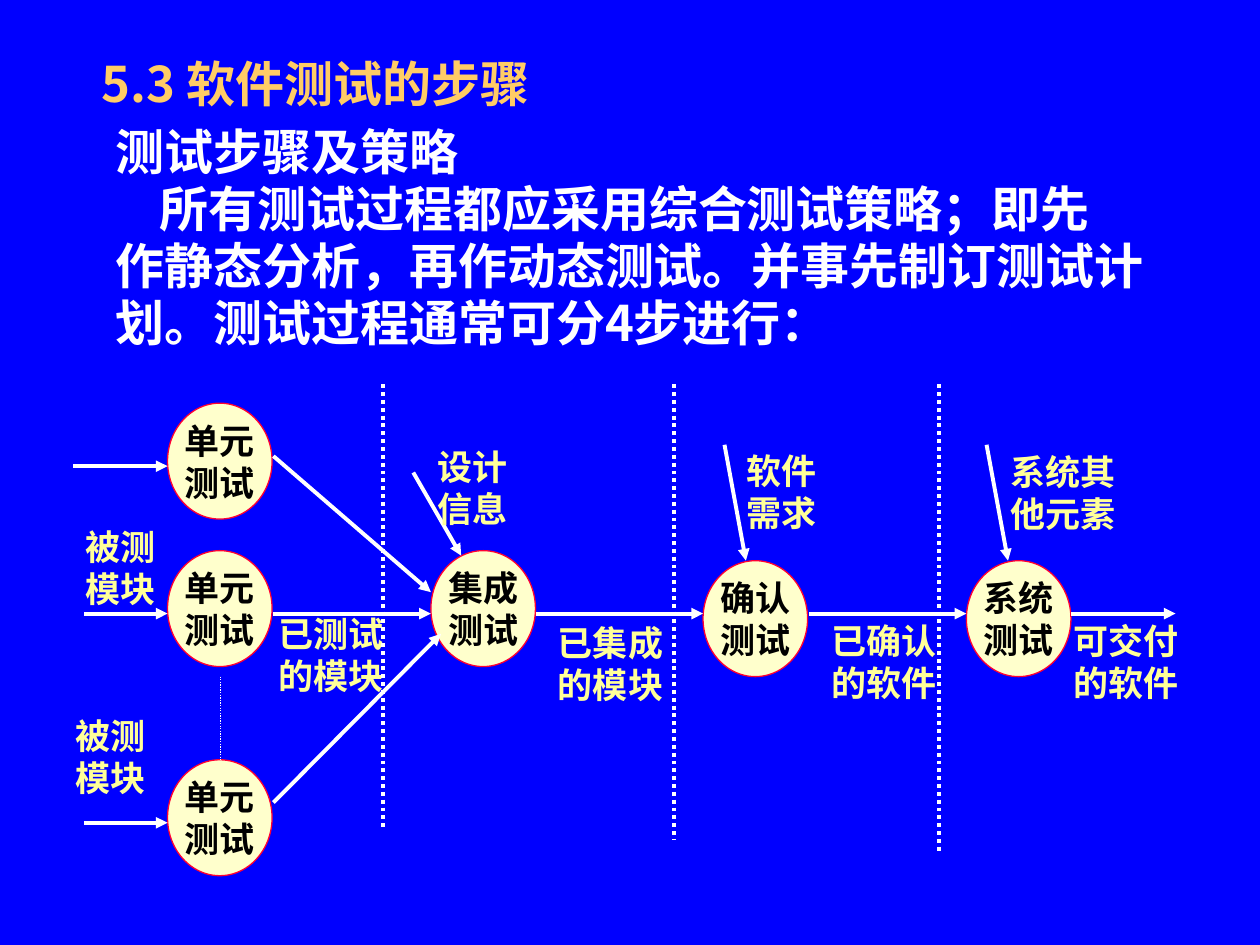
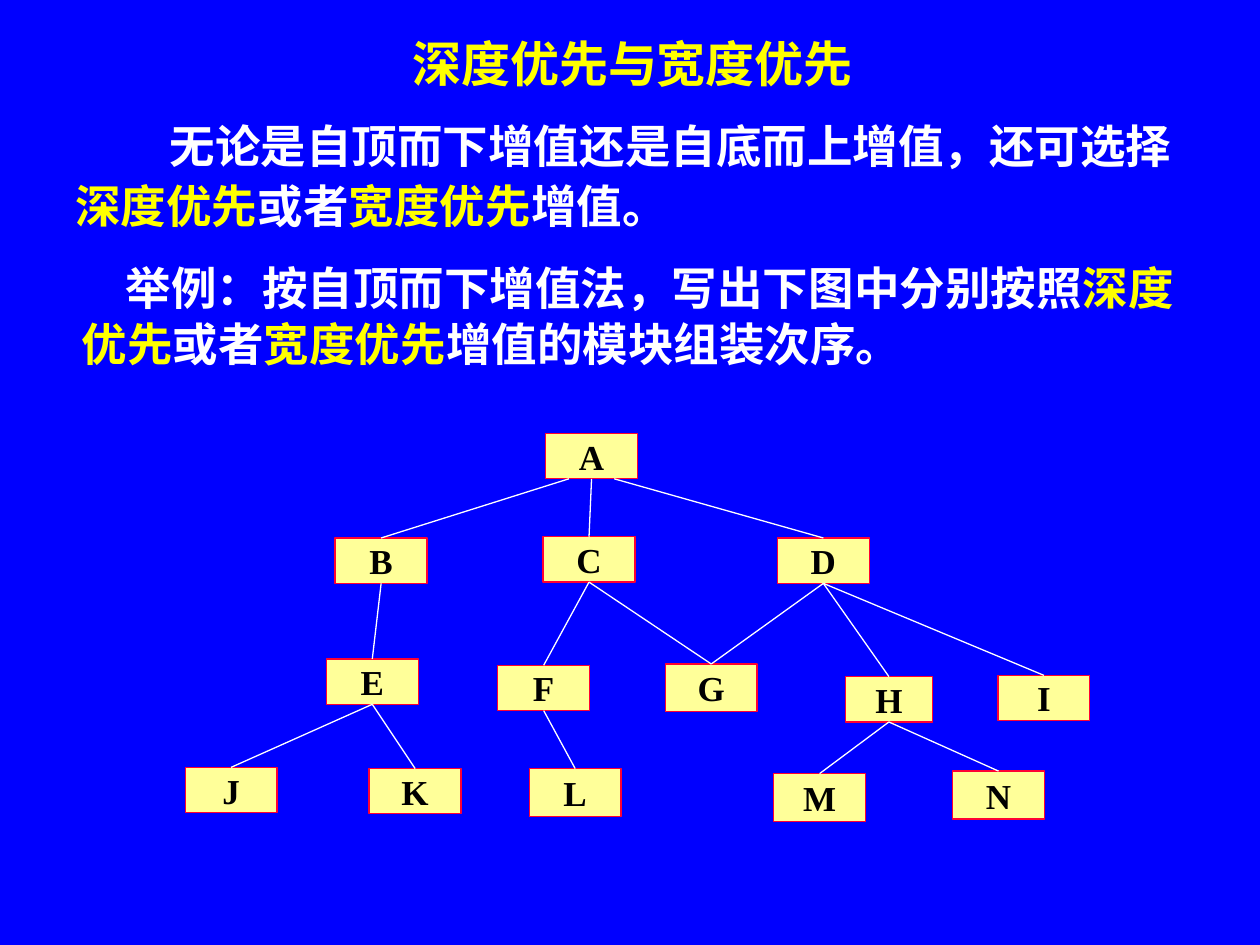
from dataclasses import dataclass

from lxml import etree
from pptx import Presentation
from pptx.dml.color import RGBColor
from pptx.enum.dml import MSO_LINE
from pptx.enum.shapes import MSO_CONNECTOR, MSO_SHAPE
from pptx.enum.text import MSO_ANCHOR, PP_ALIGN
from pptx.oxml.ns import qn
from pptx.util import Inches, Pt

STRAIGHT = MSO_CONNECTOR.STRAIGHT
ELLIPSE, RECTANGLE = MSO_SHAPE.OVAL, MSO_SHAPE.RECTANGLE
LEFT, CENTER = PP_ALIGN.LEFT, PP_ALIGN.CENTER
TOP, MIDDLE = MSO_ANCHOR.TOP, MSO_ANCHOR.MIDDLE
DOTTED = MSO_LINE.ROUND_DOT
BOTTOM_SITE, TOP_SITE = 2, 0


@dataclass(frozen=True)
class Theme:
    blue: str = "0000FF"
    white: str = "FFFFFF"
    black: str = "000000"
    red: str = "FF0033"
    orange: str = "FFCC66"
    yellow: str = "FFFF00"
    pale_yellow: str = "FFFF99"
    cream: str = "FFFFCC"
    sans: str = "Noto Sans CJK SC"
    title_sans: str = "Noto Sans CJK JP"
    serif: str = "Times New Roman"
    title_size: float = 28
    body_size: float = 28
    passage_size: float = 26
    label_size: float = 20
    thin: float = 0.75
    thick: float = 2.25


THEME = Theme()


def rgb(value):
    return RGBColor.from_string(value)


def style(paragraph, size, color, latin, align=LEFT, pitch=None):
    paragraph.alignment = align
    if pitch:
        paragraph.line_spacing = Pt(pitch)
    font = paragraph.font
    font.size, font.bold, font.name = Pt(size), True, latin
    font.color.rgb = rgb(color)
    east_asian = latin if latin == THEME.title_sans else THEME.sans
    properties = paragraph._p.pPr.find(qn("a:defRPr"))
    etree.SubElement(properties, qn("a:ea"), typeface=east_asian)
    return properties


def indent(paragraph, margin, first_line):
    properties = paragraph._p.get_or_add_pPr()
    properties.set("marL", str(Inches(margin)))
    properties.set("indent", str(Inches(first_line)))


def text_frame(slide, box, anchor=TOP):
    frame = slide.shapes.add_textbox(*map(Inches, box)).text_frame
    frame.word_wrap = True
    frame.vertical_anchor = anchor
    return frame


def add_title(slide, box, text, color, latin, align=LEFT):
    paragraph = text_frame(slide, box, MIDDLE).paragraphs[0]
    run = paragraph.add_run()
    run.text = text
    style(paragraph, THEME.title_size, color, latin, align)
    properties = run._r.get_or_add_rPr()
    effects = etree.SubElement(properties, qn("a:effectLst"))
    shadow = etree.SubElement(effects, qn("a:outerShdw"),
                              dist=str(Pt(3)), dir="2700000", algn="tl")
    etree.SubElement(shadow, qn("a:srgbClr"), val=THEME.black)


def add_passage(slide, box, paragraphs, size, pitch, gap=0, margin=0):
    frame = text_frame(slide, box)
    for position, (first_line, pieces) in enumerate(paragraphs):
        paragraph = frame.paragraphs[0] if position == 0 else frame.add_paragraph()
        indent(paragraph, margin, first_line)
        if position and gap:
            paragraph.space_before = Pt(gap)
        style(paragraph, size, THEME.white, THEME.sans, pitch=pitch)
        for text, color in pieces:
            run = paragraph.add_run()
            run.text = text
            if color != THEME.white:
                run.font.color.rgb = rgb(color)


def add_node(slide, kind, box, lines, fill, pitch=None):
    node = slide.shapes.add_shape(kind, *map(Inches, box))
    node.shadow.inherit = False
    node.fill.solid()
    node.fill.fore_color.rgb = rgb(fill)
    node.line.color.rgb = rgb(THEME.red)
    node.line.width = Pt(THEME.thin)
    frame = node.text_frame
    frame.word_wrap = False
    frame.vertical_anchor = MIDDLE
    for position, line in enumerate(lines):
        paragraph = frame.paragraphs[0] if position == 0 else frame.add_paragraph()
        paragraph.text = line
        style(paragraph, THEME.label_size, THEME.black, THEME.serif, CENTER, pitch)
    return node


def add_line(slide, start, end, width, dash=None, arrow=False):
    line = slide.shapes.add_connector(STRAIGHT, *map(Inches, (*start, *end)))
    line.line.color.rgb = rgb(THEME.white)
    line.line.width = Pt(width)
    if dash:
        line.line.dash_style = dash
    if arrow:
        etree.SubElement(line.line._get_or_add_ln(), qn("a:tailEnd"), type="triangle")
    etree.SubElement(line._element.spPr, qn("a:effectLst"))
    return line


def draw_test_flow(slide, left, top):
    def place(x, y):
        return left + x, top + y

    stages = [
        ("单元", 0.83, 0.15), ("单元", 0.83, 1.32), ("单元", 0.83, 2.98),
        ("集成", 2.92, 1.32), ("确认", 5.08, 1.4), ("系统", 7.17, 1.4),
    ]
    for name, x, y in stages:
        add_node(slide, ELLIPSE, (*place(x, y), 0.83, 0.92), (name, "测试"),
                 THEME.cream, pitch=24)

    flow_y = 1.82
    arrows = [
        ((0.08, 0.65), (0.83, 0.65)),
        ((0.17, flow_y), (0.83, flow_y)),
        ((0.17, 3.48), (0.83, 3.48)),
        ((1.67, 0.57), (2.92, 1.65)),
        ((1.67, flow_y), (2.92, flow_y)),
        ((1.67, 3.32), (3, 1.98)),
        ((2.78, 0.7), (3.16, 1.36)),
        ((3.75, flow_y), (5.08, flow_y)),
        ((5.25, 0.48), (5.42, 1.4)),
        ((5.92, flow_y), (7.17, flow_y)),
        ((7.33, 0.48), (7.5, 1.4)),
        ((8, flow_y), (8.83, flow_y)),
    ]
    for start, end in arrows:
        add_line(slide, place(*start), place(*end), THEME.thick, arrow=True)

    labels = [
        ("被测模块", 0.08, 1.07, 0.92), ("被测模块", 0, 2.57, 0.92),
        ("设计信息", 2.87, 0.44, 0.92), ("已测试的模块", 1.61, 1.76, 1.25),
        ("已集成的模块", 3.83, 1.83, 1.17), ("软件需求", 5.33, 0.47, 0.92),
        ("已确认的软件", 6, 1.82, 1.25), ("可交付的软件", 7.92, 1.82, 1.08),
        ("系统其他元素", 7.42, 0.48, 1.25),
    ]
    for text, x, y, width in labels:
        paragraph = text_frame(slide, (*place(x, y), width, 0.77)).paragraphs[0]
        paragraph.text = text
        style(paragraph, THEME.label_size, THEME.pale_yellow, THEME.serif, pitch=24)

    add_line(slide, place(1.25, 2.32), place(1.25, 2.98), THEME.thin, DOTTED)
    for x, bottom in ((2.54, 3.52), (4.85, 3.62), (6.95, 3.7)):
        add_line(slide, place(x, 0), place(x, bottom), THEME.thick, DOTTED)


def draw_module_tree(slide, left, top):
    width, height = 0.73, 0.36
    modules = {
        "A": (2.86, 0), "B": (1.19, 0.83), "C": (2.84, 0.82), "D": (4.7, 0.83),
        "E": (1.12, 1.79), "F": (2.48, 1.84), "G": (3.81, 1.83),
        "H": (5.24, 1.93), "I": (6.45, 1.92), "J": (0, 2.65), "K": (1.46, 2.66),
        "L": (2.73, 2.66), "M": (4.67, 2.7), "N": (6.09, 2.68),
    }
    sizes = {"H": (0.69, height)} | dict.fromkeys("GLMN", (width, 0.38))
    nodes = {}
    for name, (x, y) in modules.items():
        box = (left + x, top + y, *sizes.get(name, (width, height)))
        nodes[name] = add_node(slide, RECTANGLE, box, (name,), THEME.pale_yellow)

    children = {"A": "BCD", "B": "E", "C": "FG", "D": "GHI",
                "E": "JK", "F": "L", "H": "MN"}
    root_offsets = {"B": -0.18, "D": 0.18}
    for parent, names in children.items():
        for child in names:
            x, y = modules[parent]
            offset = root_offsets.get(child, 0)
            start = (left + x + width / 2 + offset, top + y + height)
            edge = add_line(slide, start, start, THEME.thin)
            if not offset:
                edge.begin_connect(nodes[parent], BOTTOM_SITE)
            edge.end_connect(nodes[child], TOP_SITE)


def add_slide(deck):
    slide = deck.slides.add_slide(deck.slide_layouts[6])
    slide.background.fill.solid()
    slide.background.fill.fore_color.rgb = rgb(THEME.blue)
    return slide


def build_steps_slide(deck):
    slide = add_slide(deck)
    add_title(slide, (0.71, 0.28, 8.5, 0.75), "5.3 软件测试的步骤",
              THEME.orange, THEME.title_sans)
    lines = [
        (0, "测试步骤及策略"),
        (0.35, "所有测试过程都应采用综合测试策略；即先"),
        (0, "作静态分析，再作动态测试。并事先制订测试计"),
        (0, "划。测试过程通常可分4步进行："),
    ]
    paragraphs = [(first, [(text, THEME.white)]) for first, text in lines]
    add_passage(slide, (0.82, 0.93, 8.75, 2.06), paragraphs, THEME.body_size, 32.6)
    draw_test_flow(slide, 0.5, 3.05)


def build_order_slide(deck):
    slide = add_slide(deck)
    add_title(slide, (0.77, 0, 8.5, 1), "深度优先与宽度优先",
              THEME.yellow, THEME.sans, CENTER)
    choice = [("深度优先", THEME.yellow), ("或者", THEME.white),
              ("宽度优先", THEME.yellow)]
    statement = [
        (0.75, [("无论是自顶而下增值还是自底而上增值，还可选择", THEME.white)]),
        (0, [*choice, ("增值。", THEME.white)]),
    ]
    add_passage(slide, (0.5, 0.88, 9.5, 1.11), statement, THEME.passage_size, 31.5, gap=2.8)
    example = [
        (0.35, [("举例：按自顶而下增值法，写出下图中分别按照", THEME.white),
                *choice, ("增值的模块组装次序。", THEME.white)]),
    ]
    add_passage(slide, (0.35, 2, 9.2, 1), example, THEME.passage_size, 32, margin=0.2)
    draw_module_tree(slide, 1.47, 3.44)


def main():
    deck = Presentation()
    deck.slide_width, deck.slide_height = Inches(10), Inches(7.5)
    build_steps_slide(deck)
    build_order_slide(deck)
    deck.save("out.pptx")


if __name__ == "__main__":
    main()
